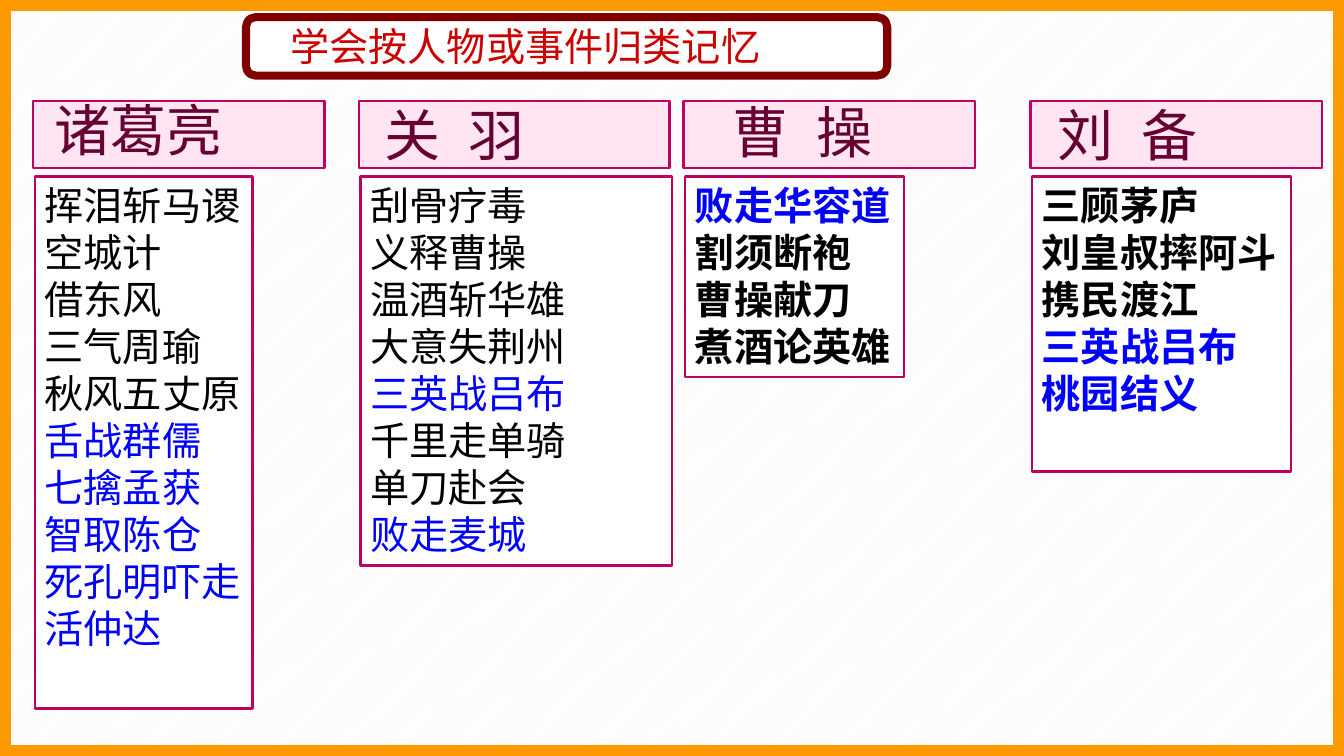
from lxml import etree
from pptx import Presentation
from pptx.dml.color import RGBColor
from pptx.enum import dml, shapes, text
from pptx.oxml import ns
from pptx.util import Inches, Pt

WHITE = RGBColor(0xFF, 0xFF, 0xFF)
STRIPE = RGBColor(0xF2, 0xF2, 0xF2)
BLACK = RGBColor(0x00, 0x00, 0x00)
BLUE = RGBColor(0x00, 0x00, 0xFF)
RED = RGBColor(0xCC, 0x00, 0x00)
MAROON = RGBColor(0x80, 0x00, 0x00)
PLUM = RGBColor(0x66, 0x00, 0x33)
MAGENTA = RGBColor(0xC0, 0x00, 0x60)
PINK = RGBColor(0xFF, 0xE5, 0xF2)
ORANGE = RGBColor(0xFF, 0x99, 0x00)
CJK = "Noto Sans CJK SC"


def add_box(parent, kind, place, fill, line, width):
    box = parent.add_shape(kind, *map(Inches, place))
    box.shadow.inherit = False
    if fill is None:
        box.fill.background()
    else:
        box.fill.solid()
        box.fill.fore_color.rgb = fill
    box.line.color.rgb = line
    box.line.width = Pt(width)
    return box


def write(box, lines, size, colors, font="Arial", bold=False, wrap=False):
    frame = box.text_frame
    frame.text = "\n".join(lines)
    frame.word_wrap = wrap
    frame.auto_size = text.MSO_AUTO_SIZE.NONE
    frame.vertical_anchor = text.MSO_ANCHOR.TOP
    for para, color in zip(frame.paragraphs, colors):
        para.alignment = text.PP_ALIGN.LEFT
        para.line_spacing = Pt(size * 1.2)
        span = para.runs[0]
        span.font.size = Pt(size)
        span.font.name = font
        span.font.bold = bold
        span.font.color.rgb = color
        etree.SubElement(span.font._element, ns.qn("a:ea"), typeface=CJK)


deck = Presentation()
deck.slide_width = Inches(13.33)
deck.slide_height = Inches(7.5)
page = deck.slides.add_slide(deck.slide_layouts[5])

backdrop = page.background.fill
backdrop.patterned()
backdrop.pattern = dml.MSO_PATTERN.LIGHT_UPWARD_DIAGONAL
backdrop.fore_color.rgb = STRIPE
backdrop.back_color.rgb = WHITE

title = page.shapes.title
title.left, title.top, title.width, title.height = map(Inches, (2.78, 0.17, 6.89, 0.57))
write(title, ["学会按人物或事件归类记忆"], 28, [RED], wrap=True)
title_frame = add_box(page.shapes, shapes.MSO_SHAPE.ROUNDED_RECTANGLE,
                      (2.44, 0.17, 6.36, 0.58), WHITE, MAROON, 5.75)
title.element.addprevious(title_frame.element)

# left, header width, list width, list height, font, bold, stories, blue stories
columns = [
    (0.33, 2.89, 2.16, 5.28, "Arial", False,
     ["挥泪斩马谡", "空城计", "借东风", "三气周瑜", "秋风五丈原",
      "舌战群儒", "七擒孟获", "智取陈仓", "死孔明吓走", "活仲达"],
     ["舌战群儒", "七擒孟获", "智取陈仓", "死孔明吓走", "活仲达"]),
    (3.56, 3.08, 3.09, 3.86, "Arial", False,
     ["刮骨疗毒", "义释曹操", "温酒斩华雄", "大意失荆州",
      "三英战吕布", "千里走单骑", "单刀赴会", "败走麦城"],
     ["三英战吕布", "败走麦城"]),
    (6.78, 2.89, 2.17, 1.99, CJK, True,
     ["败走华容道", "割须断袍", "曹操献刀", "煮酒论英雄"],
     ["败走华容道"]),
    (10.22, 2.89, 2.57, 2.93, CJK, True,
     ["三顾茅庐", "刘皇叔摔阿斗", "携民渡江", "三英战吕布", "桃园结义"],
     ["三英战吕布", "桃园结义"]),
]
for left, header_width, width, height, font, bold, stories, blue in columns:
    group = page.shapes.add_group_shape().shapes
    story_box = add_box(group, shapes.MSO_SHAPE.RECTANGLE,
                        (left + 0.015, 1.75, width, height), WHITE, MAGENTA, 1.75)
    colors = [BLUE if story in blue else BLACK for story in stories]
    write(story_box, stories, 28, colors, font, bold, wrap=width > 3)
    add_box(group, shapes.MSO_SHAPE.RECTANGLE,
            (left, 1, header_width, 0.67), PINK, MAGENTA, 1.75)

names = [
    ("诸葛亮", 0.44, 0.9, 1.88),
    ("关 羽", 3.72, 0.95, 1.64),
    ("曹 操", 7.17, 0.92, 1.64),
    ("刘 备", 10.39, 0.95, 1.64),
]
for name, left, top, width in names:
    label = page.shapes.add_textbox(Inches(left), Inches(top), Inches(width), Inches(0.77))
    write(label, [name], 40, [PLUM])
    if " " in name:
        label.text_frame.paragraphs[0].runs[0].font._element.set("spc", "550")

add_box(page.shapes, shapes.MSO_SHAPE.RECTANGLE, (0, 0, 13.33, 7.5), None, ORANGE, 15.75)

deck.save("out.pptx")
